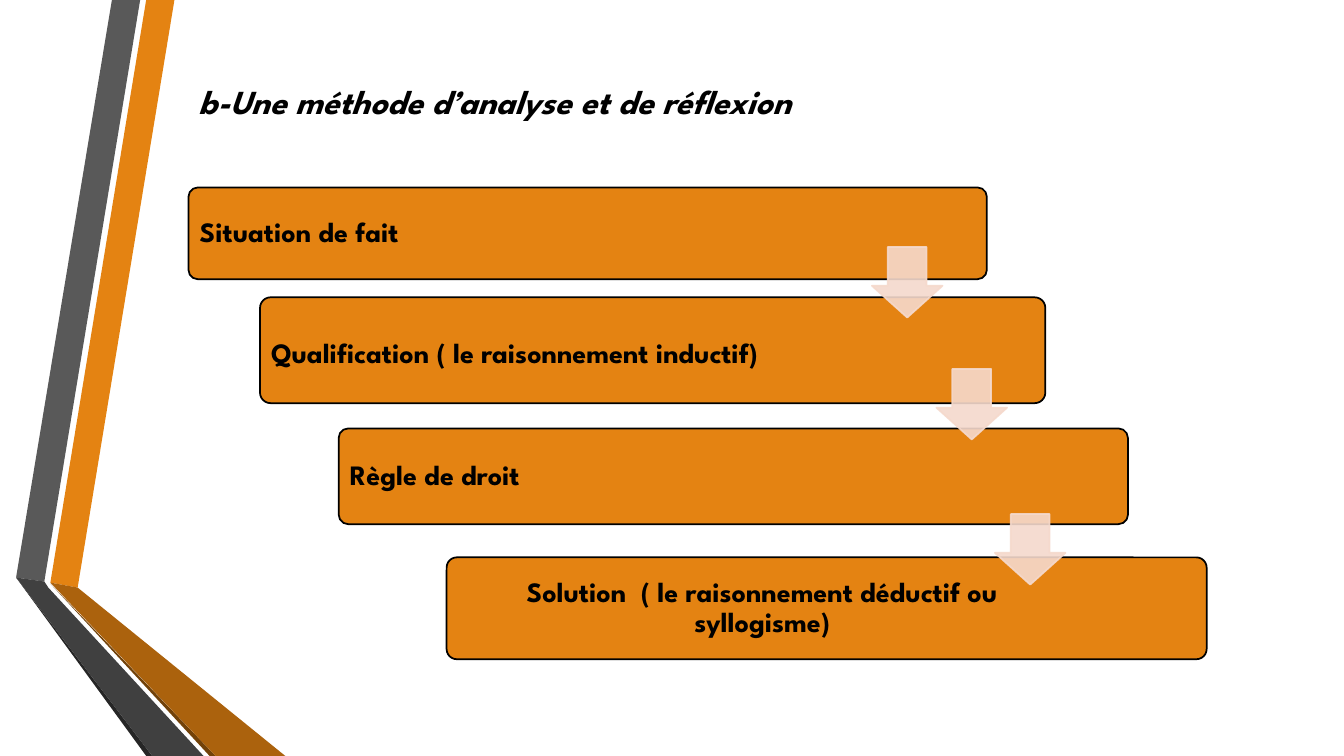
from dataclasses import dataclass

from lxml import etree
from pptx import Presentation
from pptx import util as u
from pptx.dml.color import RGBColor
from pptx.enum import shapes, text
from pptx.oxml.ns import qn

WIDTH, HEIGHT = u.Inches(13.333), u.Inches(7.5)
FONT = "League Spartan"
COLOURS = {
    "orange": "E48312",
    "dark orange": "AB620D",
    "brown": "724209",
    "grey": "595959",
    "dark grey": "404040",
    "charcoal": "262626",
    "peach": "F5D9CC",
    "black": "000000",
}


@dataclass(frozen=True)
class Area:
    left: float
    top: float
    width: float
    height: float

    def lengths(self) -> tuple[int, int, int, int]:
        return across(self.left), down(self.top), across(self.width), down(self.height)


@dataclass(frozen=True)
class Ribbon:
    colour: str
    points: tuple[tuple[float, float], ...]


@dataclass(frozen=True)
class Step:
    label: str
    area: Area
    label_width: float
    align: text.PP_ALIGN = text.PP_ALIGN.LEFT
    label_drop: float = 0


RIBBONS = (
    Ribbon("orange", ((3.75, 77.07), (5.78, 77.73), (12.98, 0), (10.88, 0))),
    Ribbon("grey", ((10.43, 0), (8.33, 0), (1.2, 76.4), (3.3, 76.93))),
    Ribbon("charcoal", ((1.2, 76.4), (10.88, 100), (11.33, 100))),
    Ribbon("brown", ((3.75, 77.2), (15.6, 100), (16.05, 100))),
    Ribbon("dark orange", ((3.75, 77.07), (16.05, 100), (21.23, 100), (5.78, 77.73))),
    Ribbon("dark grey", ((1.2, 76.4), (11.33, 100), (15.15, 100), (3.6, 77.73), (3.3, 76.93))),
)
STEPS = (
    Step("Situation de fait", Area(14.03, 24.8, 59.4, 12.13), 50.33),
    Step("Qualification ( le raisonnement inductif)", Area(19.35, 39.33, 58.43, 14), 48.08,
         label_drop=0.5),
    Step("Règle de droit", Area(25.2, 56.67, 58.73, 12.67), 48.38),
    Step("Solution  ( le raisonnement déductif ou syllogisme)",
         Area(33.23, 73.73, 56.55, 13.47), 46.5, text.PP_ALIGN.CENTER),
)
ARROW_CORNERS = ((64.88, 32.67), (69.68, 48.8), (74.03, 68))
ARROW_WIDTH, ARROW_HEIGHT = 5.25, 9.33
LABEL_INSET_X, LABEL_INSET_Y = 0.23, 0.4


def across(percent: float) -> int:
    return round(WIDTH * percent / 100)


def down(percent: float) -> int:
    return round(HEIGHT * percent / 100)


def colour(name: str) -> RGBColor:
    return RGBColor.from_string(COLOURS[name])


def paint(shape, fill: str, line: str | None = None) -> None:
    shape.shadow.inherit = False
    shape.fill.solid()
    shape.fill.fore_color.rgb = colour(fill)
    if line is None:
        shape.line.fill.background()
    else:
        shape.line.color.rgb = colour(line)
        shape.line.width = u.Pt(1.25)


def make_translucent(shape, percent: int) -> None:
    for tint in shape.element.spPr.iter(qn("a:srgbClr")):
        etree.SubElement(tint, qn("a:alpha")).set("val", str(percent * 1000))


def draw_ribbon(page, ribbon: Ribbon) -> None:
    start, *rest = [(across(x), down(y)) for x, y in ribbon.points]
    builder = page.shapes.build_freeform(*start)
    builder.add_line_segments(rest, close=True)
    paint(builder.convert_to_shape(), ribbon.colour)


def draw_text(page, words: str, area: Area, size: float, inset: float,
              align: text.PP_ALIGN = text.PP_ALIGN.LEFT, italic: bool = False) -> None:
    box = page.shapes.add_textbox(*area.lengths())
    frame = box.text_frame
    frame.word_wrap = True
    frame.vertical_anchor = text.MSO_ANCHOR.MIDDLE
    frame.margin_left = frame.margin_right = u.Inches(inset)
    frame.margin_top = frame.margin_bottom = u.Inches(0.08)
    para = frame.paragraphs[0]
    para.alignment = align
    para.line_spacing = 0.9
    span = para.add_run()
    span.text = words
    span.font.name = FONT
    span.font.size = u.Pt(size)
    span.font.bold = True
    span.font.italic = italic
    span.font.color.rgb = colour("black")


def draw_step(page, step: Step) -> None:
    bar = page.shapes.add_shape(shapes.MSO_SHAPE.ROUNDED_RECTANGLE, *step.area.lengths())
    bar.adjustments[0] = 0.1
    paint(bar, "orange", "black")
    label_area = Area(
        step.area.left + LABEL_INSET_X,
        step.area.top + LABEL_INSET_Y + step.label_drop,
        step.label_width,
        step.area.height - 2 * LABEL_INSET_Y,
    )
    draw_text(page, step.label, label_area, 20, 0.08, step.align)


def draw_arrow(page, left: float, top: float) -> None:
    area = Area(left, top, ARROW_WIDTH, ARROW_HEIGHT)
    arrow = page.shapes.add_shape(shapes.MSO_SHAPE.DOWN_ARROW, *area.lengths())
    arrow.adjustments[0] = 0.55
    arrow.adjustments[1] = 0.45
    paint(arrow, "peach", "peach")
    make_translucent(arrow, 90)


def main() -> None:
    deck = Presentation()
    deck.slide_width, deck.slide_height = WIDTH, HEIGHT
    page = deck.slides.add_slide(deck.slide_layouts[6])
    for ribbon in RIBBONS:
        draw_ribbon(page, ribbon)
    draw_text(page, "b-Une méthode d’analyse et de réflexion",
              Area(14.03, 6.27, 76.88, 14.8), 24, 0.1, italic=True)
    for step in STEPS:
        draw_step(page, step)
    for left, top in ARROW_CORNERS:
        draw_arrow(page, left, top)
    deck.save("out.pptx")


if __name__ == "__main__":
    main()
